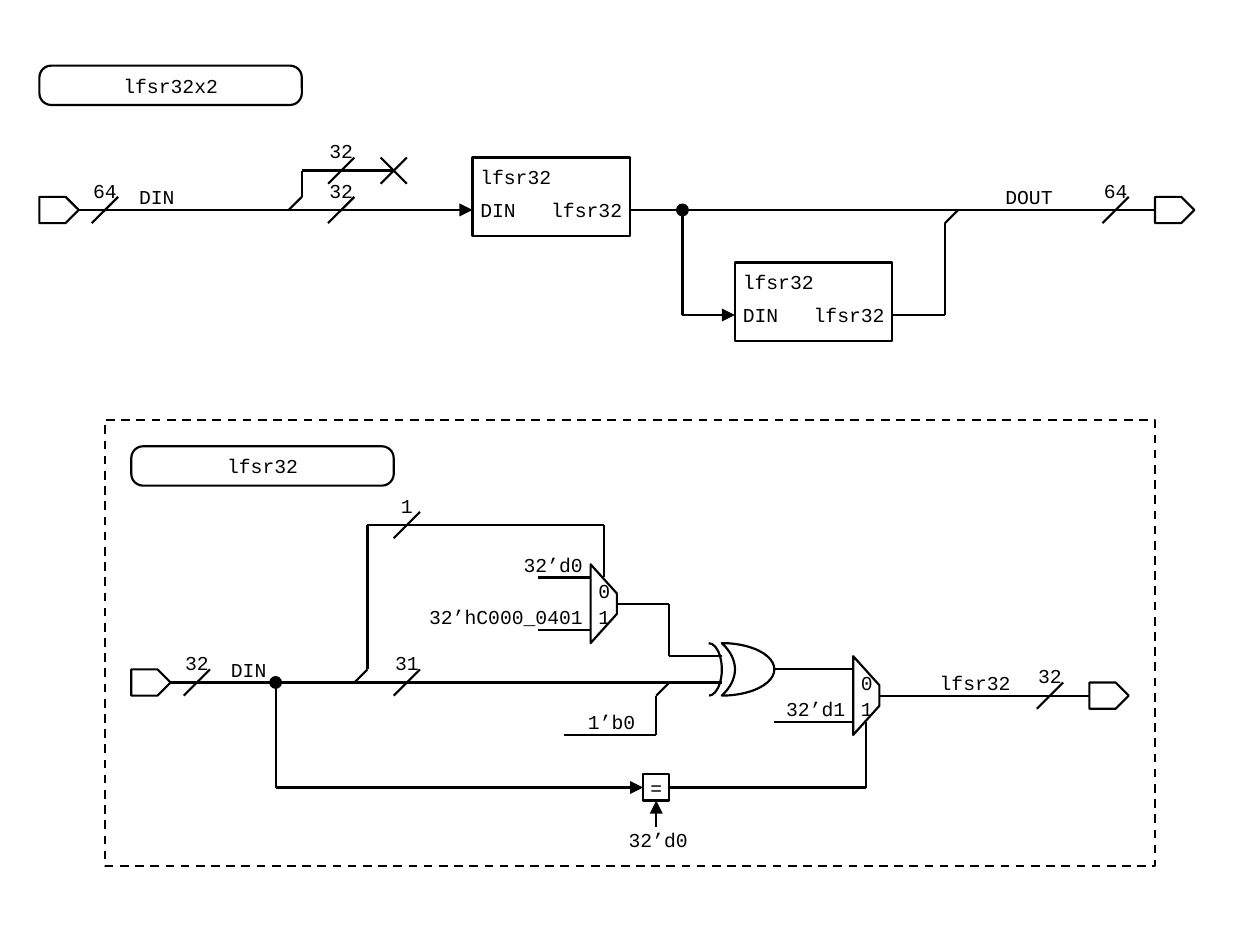
from dataclasses import dataclass
from itertools import pairwise

from lxml import etree
from pptx import Presentation
from pptx import util as u
from pptx.dml.color import RGBColor
from pptx.enum import dml, shapes, text
from pptx.oxml.ns import qn

KIND = shapes.MSO_SHAPE
LEFT, CENTER, RIGHT = text.PP_ALIGN.LEFT, text.PP_ALIGN.CENTER, text.PP_ALIGN.RIGHT
TOP, MIDDLE = text.MSO_ANCHOR.TOP, text.MSO_ANCHOR.MIDDLE
SHIFT = {LEFT: 0, CENTER: 0.5, RIGHT: 1}


@dataclass(frozen=True)
class Theme:
    """Colours, type and drawing grid of the diagrams."""
    ink: RGBColor = RGBColor(0, 0, 0)
    paper: RGBColor = RGBColor(255, 255, 255)
    font: str = "Courier New"
    size: float = 9
    line: float = 1
    inset: float = 3.6
    cell: float = 6
    char: float = 5.4


T = Theme()


class Region:
    """Places parts in grid cells measured from the region's corner."""

    def __init__(self, s, x, y):
        """Keep the slide and the corner of the region."""
        self.s, self.x, self.y = s, x, y

    def at(self, x, y):
        """Turn a grid position into slide lengths."""
        return u.Pt((self.x + x) * T.cell), u.Pt((self.y + y) * T.cell)

    def shape(self, kind, x, y, w, h, adj=(), fill=None):
        """Draw an outlined preset shape."""
        sp = self.s.shapes.add_shape(kind, *self.at(x, y), u.Pt(w * T.cell), u.Pt(h * T.cell))
        sp.shadow.inherit = False
        for i, value in enumerate(adj):
            sp.adjustments[i] = value
        if fill is None:
            sp.fill.background()
        else:
            sp.fill.solid()
            sp.fill.fore_color.rgb = fill
        sp.line.color.rgb = T.ink
        sp.line.width = u.Pt(T.line)
        return sp

    def label(self, words, x, y, w=6, h=2, align=LEFT):
        """Add a one-line label, widened away from its aligned edge to fit."""
        fit = max(w, (len(words) * T.char + 2 * T.inset + 1) / T.cell)
        x -= (fit - w) * SHIFT[align]
        sp = self.s.shapes.add_textbox(*self.at(x, y), u.Pt(fit * T.cell), u.Pt(h * T.cell))
        write(sp, words, align, wrap=False)

    def wire(self, *points, head=None, tail=None):
        """Join points with straight segments, with optional end marks."""
        pairs = list(pairwise(points))
        for i, (a, b) in enumerate(pairs):
            c = self.s.shapes.add_connector(shapes.MSO_CONNECTOR.STRAIGHT, *self.at(*a), *self.at(*b))
            c.line.color.rgb = T.ink
            c.line.width = u.Pt(T.line)
            ln = c.line._get_or_add_ln()
            if head and i == 0:
                etree.SubElement(ln, qn("a:headEnd"), type=head)
            if tail and i == len(pairs) - 1:
                etree.SubElement(ln, qn("a:tailEnd"), type=tail)
            etree.SubElement(c._element.spPr, qn("a:effectLst"))

    def tap(self, width, x, y):
        """Mark the bus width with a slash centred on the wire."""
        self.wire((x - 1, y + 1), (x + 1, y - 1))
        self.label(width, x - 1, y - 2, 2, 1, CENTER)

    def port(self, x, y):
        """Draw a module port."""
        self.shape(KIND.PENTAGON, x, y, 3, 2)

    def heading(self, words, x, y):
        """Draw the rounded module name."""
        write(self.shape(KIND.ROUNDED_RECTANGLE, x, y, 20, 3, [0.3]), words, CENTER)

    def block(self, x, y):
        """Draw an lfsr32 instance with its pin names."""
        write(self.shape(KIND.RECTANGLE, x, y, 12, 6), "lfsr32", anchor=TOP)
        self.label("DIN", x, y + 3)
        self.label("lfsr32", x + 6, y + 3, align=RIGHT)

    def mux(self, x, y):
        """Draw a two-way multiplexer, 2 cells wide and 6 high."""
        self.shape(KIND.TRAPEZOID, x - 2, y + 2, 6, 2, [1.11]).rotation = 90
        for i in range(2):
            self.label(str(i), x, y + 1 + 2 * i, 2)

    def xor(self, x, y):
        """Draw an XOR gate, with x at its input side."""
        self.shape(KIND.MOON, x, y, 4, 4, [0.75], T.paper).rotation = 180
        self.shape(KIND.ARC, x - 2, y, 2, 4, [162, 53.42])


def write(sp, words, align=LEFT, anchor=MIDDLE, wrap=True):
    """Set the text of a shape in the theme's type."""
    tf = sp.text_frame
    tf.word_wrap, tf.vertical_anchor = wrap, anchor
    tf.margin_left = tf.margin_right = tf.margin_top = tf.margin_bottom = u.Pt(T.inset)
    p = tf.paragraphs[0]
    p.alignment = align
    r = p.add_run()
    r.text = words
    r.font.name, r.font.size = T.font, u.Pt(T.size)
    r.font.color.rgb = T.ink


def draw_pair(s, x, y):
    """Draw the lfsr32x2 module, two chained lfsr32 blocks."""
    g = Region(s, x, y)
    g.heading("lfsr32x2", 0, 0)
    for px in (0, 85):
        g.port(px, 10)
    for bx, by in ((33, 7), (53, 15)):
        g.block(bx, by)
    g.wire((3, 11), (33, 11), tail="triangle")
    g.wire((19, 11), (20, 10), (20, 8), (27, 8))
    for slope in (1, -1):
        g.wire((26, 8 - slope), (28, 8 + slope))
    g.wire((45, 11), (85, 11))
    g.wire((49, 11), (49, 19), (53, 19), head="oval", tail="triangle")
    g.wire((65, 19), (69, 19), (69, 12), (70, 11))
    for width, tx, ty in (("64", 5, 11), ("32", 23, 8), ("32", 23, 11), ("64", 82, 11)):
        g.tap(width, tx, ty)
    g.label("DIN", 7, 9)
    g.label("DOUT", 73, 9)


def draw_lfsr(s, x, y):
    """Draw the inside of the lfsr32 module in a dashed frame."""
    g = Region(s, x, y)
    g.shape(KIND.RECTANGLE, 0, 0, 80, 34).line.dash_style = dml.MSO_LINE.DASH
    g.heading("lfsr32", 2, 2)
    g.port(2, 19)
    g.port(75, 20)
    g.mux(37, 11)
    g.mux(57, 18)
    g.xor(47, 17)
    write(g.shape(KIND.RECTANGLE, 41, 27, 2, 2), "=", CENTER, wrap=False)

    g.wire((5, 20), (47, 20))
    g.wire((13, 20), (13, 28), (41, 28), head="oval", tail="triangle")
    g.wire((19, 20), (20, 19), (20, 8), (38, 8), (38, 12))
    g.wire((39, 14), (43, 14), (43, 18), (47, 18))
    g.wire((35, 24), (42, 24), (42, 21), (43, 20))
    g.wire((42, 31), (42, 29), tail="triangle")
    g.wire((43, 28), (58, 28), (58, 23))
    for x1, x2, wy in ((33, 37, 12), (33, 37, 16), (51, 57, 19), (51, 57, 23), (59, 75, 21)):
        g.wire((x1, wy), (x2, wy))

    for width, tx, ty in (("32", 7, 20), ("31", 23, 20), ("1", 23, 8), ("32", 72, 21)):
        g.tap(width, tx, ty)
    g.label("DIN", 9, 18)
    g.label("lfsr32", 63, 19)
    for words, lx, ly in (("32’d0", 31, 10), ("32’hC000_0401", 31, 14), ("32’d1", 51, 21),
                          ("1’b0", 35, 22), ("32’d0", 39, 31)):
        g.label(words, lx, ly, align=RIGHT)


prs = Presentation()
prs.slide_width, prs.slide_height = u.Pt(576), u.Pt(432)
s = prs.slides.add_slide(prs.slide_layouts[6])
draw_pair(s, 3, 5)
draw_lfsr(s, 8, 32)
prs.save("out.pptx")
